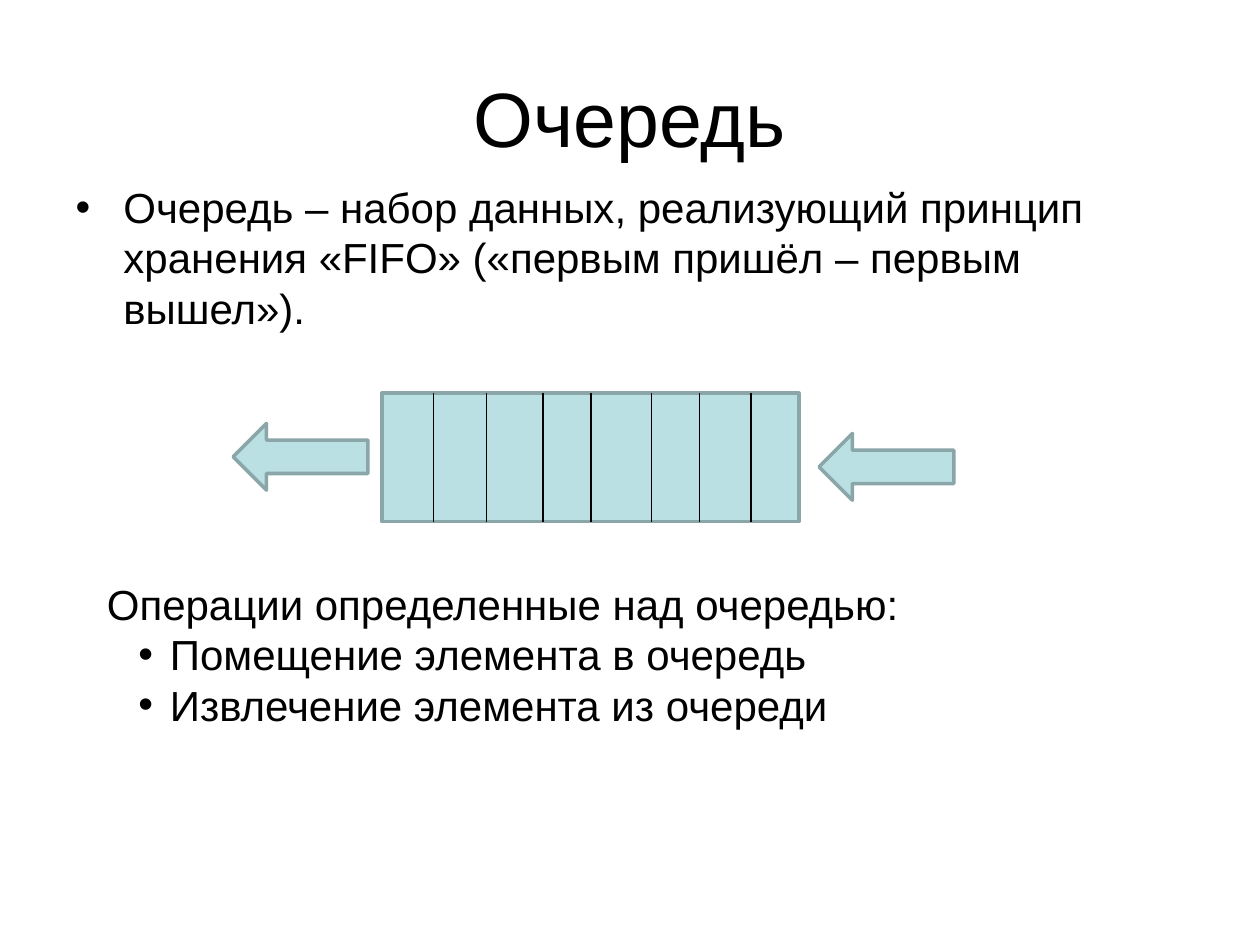
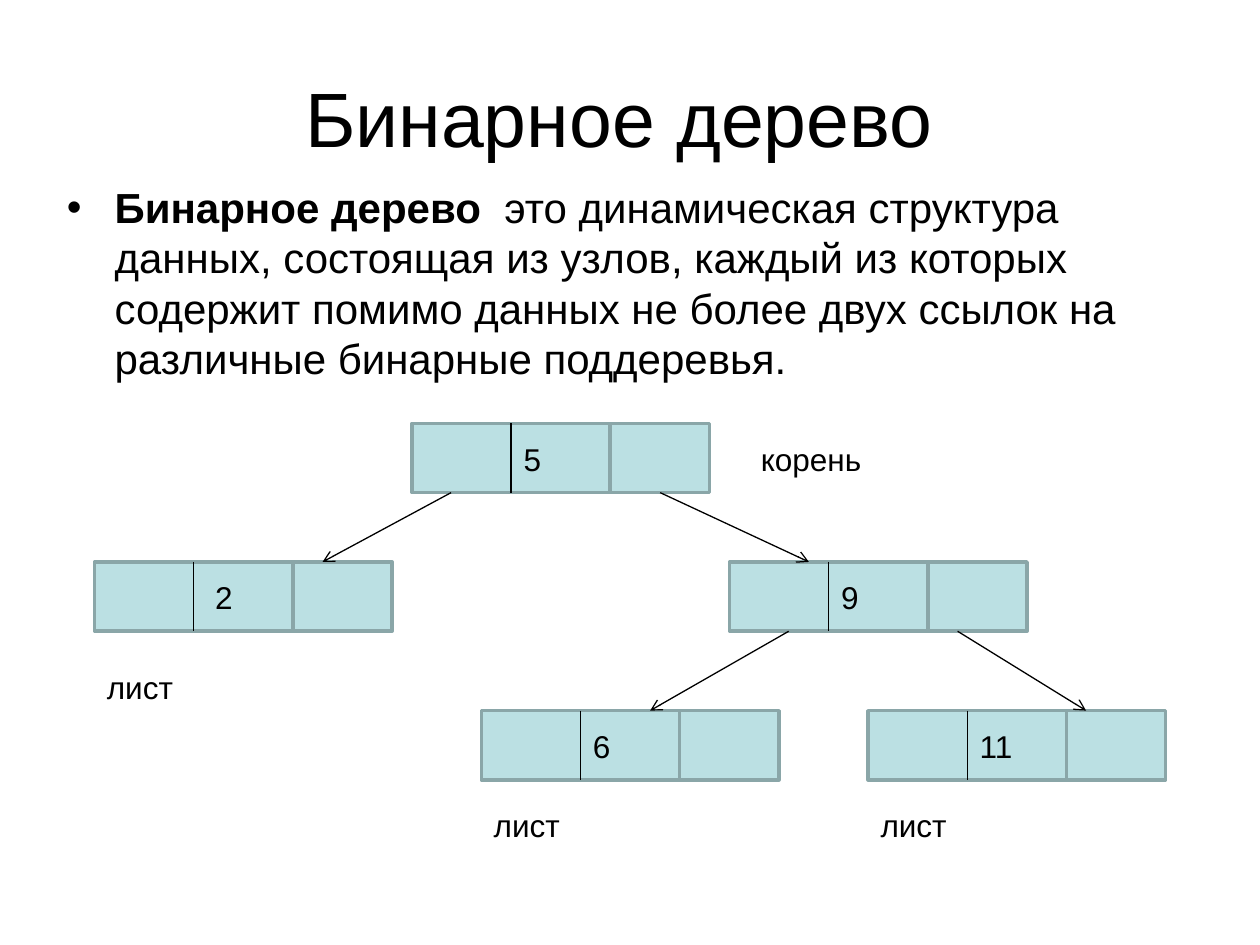
from dataclasses import dataclass

from lxml import etree
from pptx import Presentation
from pptx.dml.color import RGBColor
from pptx.enum.shapes import MSO_CONNECTOR, MSO_SHAPE
from pptx.enum.text import MSO_ANCHOR, MSO_AUTO_SIZE, PP_ALIGN
from pptx.oxml.ns import qn
from pptx.util import Inches, Pt

RECT = MSO_SHAPE.RECTANGLE
ARROW = MSO_SHAPE.RIGHT_ARROW
STRAIGHT = MSO_CONNECTOR.STRAIGHT
MIDDLE, TOP = MSO_ANCHOR.MIDDLE, MSO_ANCHOR.TOP
CENTER = PP_ALIGN.CENTER
GROW, FIXED = MSO_AUTO_SIZE.SHAPE_TO_FIT_TEXT, MSO_AUTO_SIZE.NONE

BLACK = RGBColor(0x00, 0x00, 0x00)
FILL = RGBColor(0xBB, 0xE0, 0xE3)
EDGE = RGBColor(0x8A, 0xA6, 0xA8)
FONT = "Arial"
TITLE_PT, BODY_PT, LABEL_PT = 44, 24, 18

prs = Presentation()
prs.slide_width, prs.slide_height = Inches(10), Inches(7.5)
COL = prs.slide_width / 100
ROW = prs.slide_height / 75

FIELD_W, FIELD_H = 7.87, 5.5
LABEL_W, LABEL_H = 19.7, 4
VALUE_DROP = 0.8


@dataclass(frozen=True)
class Run:
    text: str
    bold: bool = False


@dataclass(frozen=True)
class Box:
    col: float
    row: float
    cols: float
    rows: float

    def emu(self) -> tuple[int, ...]:
        return (round(self.col * COL), round(self.row * ROW),
                round(self.cols * COL), round(self.rows * ROW))


@dataclass(frozen=True)
class Node:
    value: str
    col: float
    row: float
    label: str = ""
    label_shift: tuple[float, float] = (0, 7.1)
    value_shift: float = FIELD_W


@dataclass(frozen=True)
class Link:
    parent: Node
    leave: float
    child: Node
    enter: float


def add_run(p, run: Run, size: int) -> None:
    r = p.add_run()
    r.text = run.text
    r.font.name = FONT
    r.font.size = Pt(size)
    r.font.bold = run.bold
    r.font.color.rgb = BLACK


def add_bullet(p, margin: float, indent: float) -> None:
    p_pr = p._p.get_or_add_pPr()
    p_pr.set("marL", str(Inches(margin)))
    p_pr.set("indent", str(Inches(indent)))
    etree.SubElement(p_pr, qn("a:buFont")).set("typeface", FONT)
    etree.SubElement(p_pr, qn("a:buChar")).set("char", "•")


def place(sp, box: Box) -> None:
    sp.left, sp.top, sp.width, sp.height = box.emu()


def add_topic(title: str, body: list[Run], body_box: Box):
    s = prs.slides.add_slide(prs.slide_layouts[1])
    place(s.shapes.title, Box(5, 3, 90, 12.5))
    tf = s.shapes.title.text_frame
    tf.vertical_anchor = MIDDLE
    tf.auto_size = FIXED
    p = tf.paragraphs[0]
    p.alignment = CENTER
    add_run(p, Run(title), TITLE_PT)

    sp = s.placeholders[1]
    place(sp, body_box)
    tf = sp.text_frame
    tf.vertical_anchor = TOP
    tf.auto_size = FIXED
    p = tf.paragraphs[0]
    add_bullet(p, 0.38, -0.38)
    for run in body:
        add_run(p, run, BODY_PT)
    return s


def add_block(shapes, kind, box: Box):
    sp = shapes.add_shape(kind, *box.emu())
    sp.shadow.inherit = False
    sp.fill.solid()
    sp.fill.fore_color.rgb = FILL
    sp.line.color.rgb = EDGE
    sp.line.width = Pt(2)
    return sp


def add_line(shapes, x1: float, y1: float, x2: float, y2: float,
             arrow: bool = False) -> None:
    line = shapes.add_connector(STRAIGHT, round(x1 * COL), round(y1 * ROW),
                                round(x2 * COL), round(y2 * ROW))
    line.line.color.rgb = BLACK
    line.line.width = Pt(0.75)
    sp_pr = line._element.spPr
    if arrow:
        tail = etree.SubElement(sp_pr.find(qn("a:ln")), qn("a:tailEnd"))
        tail.set("type", "arrow")
    etree.SubElement(sp_pr, qn("a:effectLst"))


def add_text(s, box: Box, text: str, size: int):
    tf = s.shapes.add_textbox(*box.emu()).text_frame
    tf.word_wrap = True
    tf.auto_size = GROW
    add_run(tf.paragraphs[0], Run(text), size)
    return tf


def add_node(s, node: Node) -> None:
    shapes = s.shapes.add_group_shape().shapes
    split = node.col + FIELD_W
    add_block(shapes, RECT, Box(node.col, node.row, 2 * FIELD_W, FIELD_H))
    add_line(shapes, split, node.row, split, node.row + FIELD_H)
    add_block(shapes, RECT,
              Box(split + FIELD_W, node.row, FIELD_W, FIELD_H))


def add_node_text(s, node: Node) -> None:
    add_text(s, Box(node.col + node.value_shift, node.row + VALUE_DROP,
                    FIELD_W, LABEL_H), node.value, LABEL_PT)
    if node.label:
        dx, dy = node.label_shift
        add_text(s, Box(node.col + dx, node.row + dy, LABEL_W, LABEL_H),
                 node.label, LABEL_PT)


def build_queue() -> None:
    s = add_topic("Очередь", [Run(
        "Очередь – набор данных, реализующий принцип хранения «FIFO» "
        "(«первым пришёл – первым вышел»). ")], Box(5, 13.9, 90, 10.2))
    queue = Box(30.3, 31.2, 33.1, 10.2)
    shapes = s.shapes.add_group_shape().shapes
    add_block(shapes, RECT, queue)
    for x in (34.4, 38.6, 43.1, 46.9, 51.7, 55.5, 59.6):
        add_line(shapes, x, queue.row, x, queue.row + queue.rows)
    for col, row in ((65, 34.4), (18.5, 33.6)):
        add_block(s.shapes, ARROW, Box(col, row, 10.7, 5.3)).rotation = 180

    tf = add_text(s, Box(7.5, 45.4, 85.8, 15.8),
                  "Операции определенные над очередью:", BODY_PT)
    for text in ("Помещение элемента в очередь",
                 "Извлечение элемента из очереди"):
        p = tf.add_paragraph()
        p.level = 1
        add_bullet(p, 0.5, -0.25)
        add_run(p, Run(text), BODY_PT)


def build_tree() -> None:
    s = add_topic("Бинарное дерево ", [
        Run("Бинарное дерево", bold=True),
        Run("  это динамическая структура данных, состоящая из узлов, "
            "каждый из которых содержит помимо данных не более двух ссылок "
            "на различные бинарные поддеревья.")], Box(4.3, 13.9, 90, 17.6))
    root = Node("5", 32.7, 33.6, "корень", (26.7, VALUE_DROP))
    left = Node("2", 7.5, 44.6, "лист", (0, 7.9), 8.6)
    right = Node("9", 57.9, 44.6)
    right_left = Node("6", 38.2, 56.4, "лист")
    right_right = Node("11", 68.9, 56.4, "лист")
    nodes = (root, left, right, right_left, right_right)
    links = (Link(root, 3.1, left, 18.1),
             Link(root, 19.7, right, 6.3),
             Link(right, 4.7, right_left, 13.4),
             Link(right, 18.1, right_right, 17.3))
    for node in nodes:
        add_node(s, node)
    for k in links:
        add_line(s.shapes, k.parent.col + k.leave, k.parent.row + FIELD_H,
                 k.child.col + k.enter, k.child.row, arrow=True)
    for node in nodes:
        add_node_text(s, node)


build_queue()
build_tree()
prs.save("out.pptx")
